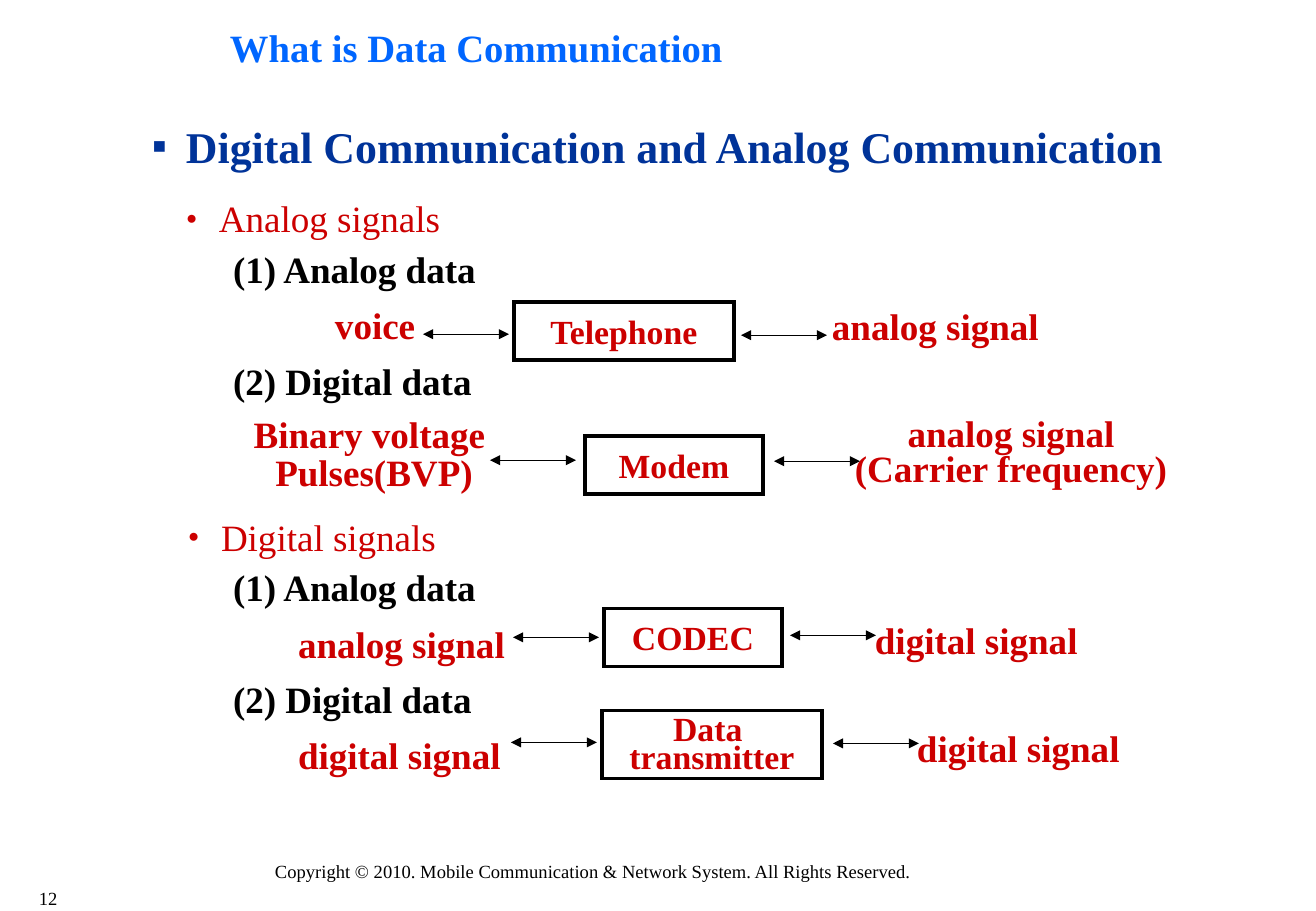
from lxml.etree import SubElement as Sub
from pptx import Presentation
from pptx.dml.color import RGBColor as RGB
from pptx.enum.shapes import MSO_CONNECTOR as Line, MSO_SHAPE as Shape
from pptx.enum.text import MSO_ANCHOR as Anchor, MSO_AUTO_SIZE as Fit, PP_ALIGN as Align
from pptx.oxml.ns import qn
from pptx.util import Inches, Pt

FONT = "Times New Roman"
BLUE = RGB(0x00, 0x66, 0xFF)
NAVY = RGB(0x00, 0x33, 0x99)
RED = RGB(0xCC, 0x00, 0x00)
BLACK = RGB(0x00, 0x00, 0x00)

# Content
TITLE = "What is Data Communication"
LIST = [  # style, text, left margin in px
    ("head", "Digital Communication and Analog Communication", 33),
    ("topic", "Analog signals", 66),
    ("item", "(1) Analog data", 80),
    ("row", "voice", 182),
    ("case", "(2) Digital data", 80),
    ("later", "Digital signals", 68),
    ("item", "(1) Analog data", 80),
    ("row", "analog signal", 145),
    ("case", "(2) Digital data", 80),
    ("row", "digital signal", 145),
]
BOXES = [  # text, place in px, line spacing, top inset
    ("Telephone", (514, 302, 220, 58), 1, 0),
    ("Modem", (585, 436, 178, 58), 1, 0),
    ("CODEC", (604, 608, 178, 58), 1, 0),
    ("Data \ntransmitter", (602, 710, 220, 68), 0.7, 5),
]
LABELS = [  # text, place in px, alignment, line spacing
    ("analog signal", (832, 303, 260, 44), Align.LEFT, 1),
    ("Binary voltage \nPulses(BVP)", (226, 420, 296, 72), Align.CENTER, 0.85),
    ("analog signal\n(Carrier frequency)", (840, 418, 342, 72), Align.CENTER, 0.8),
    ("digital signal", (875, 617, 260, 44), Align.LEFT, 1),
    ("digital signal", (917, 725, 260, 44), Align.LEFT, 1),
]
ARROWS = [  # left end and height in px
    (423, 334), (741, 335), (490, 460), (774, 461),
    (513, 637), (790, 635), (511, 742), (833, 743),
]
SPAN = 86
FOOT = [
    ("Copyright © 2010. Mobile Communication & Network System. All Rights Reserved.",
     (275, 860, 800, 22)),
    ("12", (39, 887, 50, 22)),
]

# Styles: font, paragraph, hanging indent, bullet
TOPIC = dict(size=Pt(22), bold=False, color=RED)
ITEM = dict(size=Pt(22), bold=True, color=BLACK)
SIGNAL = dict(size=Pt(22), bold=True, color=RED)
STYLES = {
    "head": (dict(size=Pt(26), bold=True, color=NAVY),
             dict(level=0, line_spacing=1.05, space_before=Pt(0)), 33, "■"),
    "topic": (TOPIC, dict(level=1, line_spacing=1.3, space_before=Pt(6)), 33, "●"),
    "later": (TOPIC, dict(level=1, line_spacing=1.3, space_before=Pt(58)), 33, "●"),
    "item": (ITEM, dict(level=1, line_spacing=0.95, space_before=Pt(5.5)), 0, None),
    "case": (ITEM, dict(level=1, line_spacing=1.0, space_before=Pt(6.5)), 0, None),
    "row": (SIGNAL, dict(level=1, line_spacing=1.0, space_before=Pt(6.5)), 0, None),
}


def px(num):
    return round(num * 914400 / 121.4)


def put(obj, form):
    for key, val in form.items():
        setattr(obj, key, val)


def place(shape, spot):
    put(shape, dict(zip(("left", "top", "width", "height"), map(px, spot))))


def frame(shape, anchor, wrap=True, top=0):
    put(shape.text_frame, dict(
        auto_size=Fit.NONE, word_wrap=wrap, vertical_anchor=anchor,
        margin_left=0, margin_right=0, margin_top=px(top), margin_bottom=0))
    return shape.text_frame


def write(para, text, font):
    run = para.add_run()
    run.text = text
    put(run.font, dict(name=FONT, size=font["size"], bold=font["bold"]))
    run.font.color.rgb = font["color"]


def fill(body, text, font, form):
    for num, part in enumerate(text.split("\n")):
        para = body.add_paragraph() if num else body.paragraphs[0]
        put(para, form)
        write(para, part, font)


def mark(para, left, hang, char, tint):
    prop = para._p.get_or_add_pPr()
    prop.set("marL", str(px(left)))
    prop.set("indent", str(-px(hang)))
    if char:
        Sub(Sub(prop, qn("a:buClr")), qn("a:srgbClr"), val=str(tint))
        Sub(prop, qn("a:buSzPct"), val="50000")
        Sub(prop, qn("a:buFont"), typeface=FONT)
        Sub(prop, qn("a:buChar"), char=char)
    else:
        Sub(prop, qn("a:buNone"))


def main():
    deck = Presentation()
    put(deck, dict(slide_width=Inches(10.84), slide_height=Inches(7.5)))
    slide = deck.slides.add_slide(deck.slide_layouts[1])
    shapes = slide.shapes

    # Title
    place(shapes.title, (230, 16, 846, 63))
    fill(frame(shapes.title, Anchor.MIDDLE), TITLE,
         dict(size=Pt(22.9), bold=True, color=BLUE), dict(alignment=Align.LEFT))

    # List
    place(slide.placeholders[1], (153, 117, 1040, 712))
    body = frame(slide.placeholders[1], Anchor.TOP)
    for num, (style, text, left) in enumerate(LIST):
        font, form, hang, char = STYLES[style]
        para = body.add_paragraph() if num else body.paragraphs[0]
        mark(para, left, hang, char, font["color"])
        put(para, form)
        write(para, text, font)

    # Device boxes
    for text, spot, gap, top in BOXES:
        box = shapes.add_shape(Shape.RECTANGLE, *map(px, spot))
        box.shadow.inherit = False
        box.fill.background()
        box.line.color.rgb = BLACK
        box.line.width = Pt(2)
        Sub(box.line._get_or_add_ln(), qn("a:miter"), lim="800000")
        fill(frame(box, Anchor.MIDDLE, False, top), text, dict(SIGNAL, size=Pt(20)),
             dict(alignment=Align.CENTER, line_spacing=gap))

    # Signal labels
    for text, spot, side, gap in LABELS:
        box = shapes.add_textbox(*map(px, spot))
        fill(frame(box, Anchor.MIDDLE), text, SIGNAL,
             dict(alignment=side, line_spacing=gap))

    # Two-way arrows
    for left, top in ARROWS:
        line = shapes.add_connector(Line.STRAIGHT, *map(px, (left, top, left + SPAN, top)))
        line.line.color.rgb = BLACK
        line.line.width = Pt(0.75)
        edge = line.line._get_or_add_ln()
        for end in ("a:headEnd", "a:tailEnd"):
            Sub(edge, qn(end), type="triangle")
        Sub(line._element.spPr, qn("a:effectLst"))

    # Footer
    for text, spot in FOOT:
        box = shapes.add_textbox(*map(px, spot))
        fill(frame(box, Anchor.TOP), text, dict(size=Pt(11), bold=False, color=BLACK), {})

    deck.save("out.pptx")


if __name__ == "__main__":
    main()
